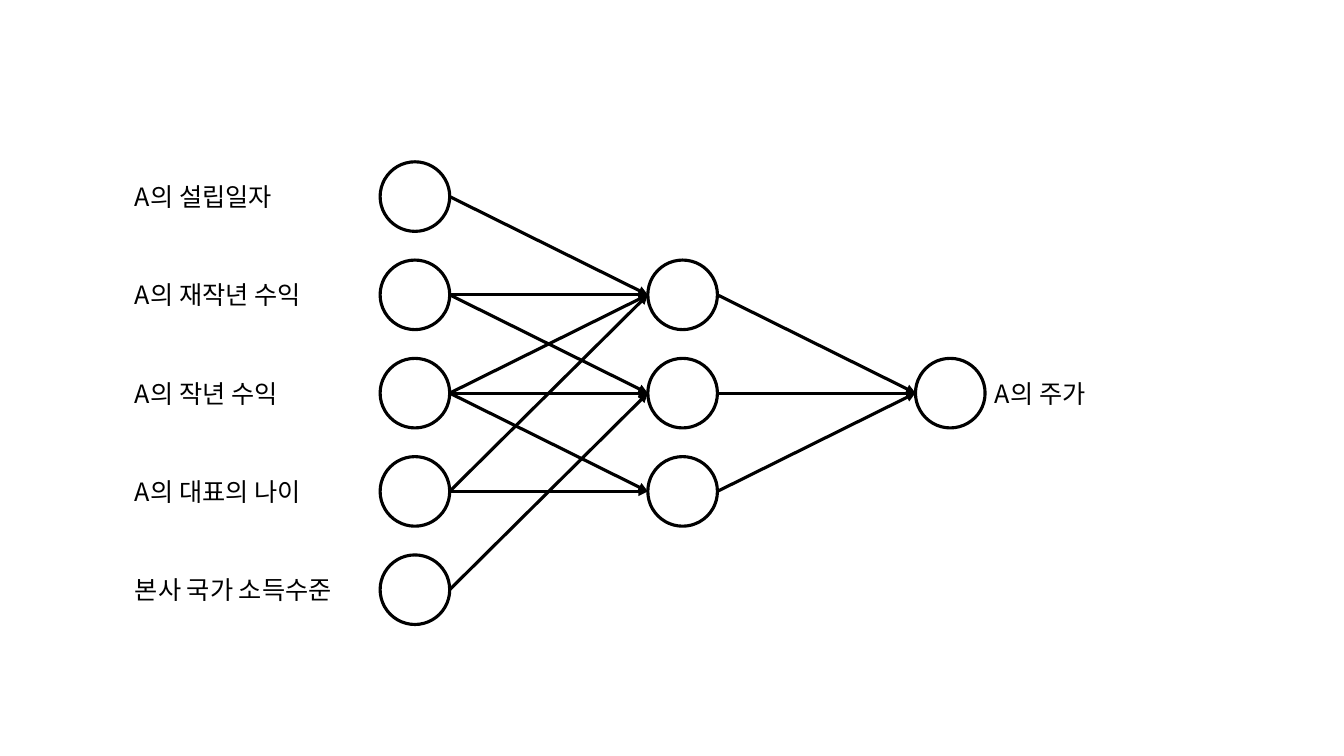
from dataclasses import dataclass

import pptx
import pptx.dml.color
import pptx.enum.shapes
import pptx.enum.text
import pptx.oxml
import pptx.oxml.ns
import pptx.util
from pptx.util import Inches


@dataclass(frozen=True)
class Theme:
    ink: pptx.dml.color.RGBColor = pptx.dml.color.RGBColor(0, 0, 0)
    font: str = "Noto Sans CJK KR"
    text_size: pptx.util.Pt = pptx.util.Pt(18)
    line_width: pptx.util.Pt = pptx.util.Pt(2.25)


@dataclass(frozen=True)
class Node:
    left: float
    mid_y: float


@dataclass(frozen=True)
class Label:
    text: str
    left: float
    width: float
    mid_y: float


THEME = Theme()
DIAMETER = 0.69
LABEL_HEIGHT = 0.4
TOP_MID_Y, ROW_STEP = 1.95, 0.975
INPUT_LEFT, LAYER_STEP = 3.77, 2.655


def layer(column: int, rows: range) -> list[Node]:
    return [Node(INPUT_LEFT + column * LAYER_STEP, TOP_MID_Y + row * ROW_STEP)
            for row in rows]


def style_line(line) -> None:
    line.color.rgb = THEME.ink
    line.width = THEME.line_width


def draw_node(s, node: Node) -> None:
    sp = s.shapes.add_shape(
        pptx.enum.shapes.MSO_SHAPE.OVAL,
        Inches(node.left), Inches(node.mid_y - DIAMETER / 2),
        Inches(DIAMETER), Inches(DIAMETER))
    sp.shadow.inherit = False
    sp.fill.background()
    style_line(sp.line)


def draw_arrow(s, start: Node, end: Node) -> None:
    cxn = s.shapes.add_connector(
        pptx.enum.shapes.MSO_CONNECTOR.STRAIGHT,
        Inches(start.left + DIAMETER), Inches(start.mid_y),
        Inches(end.left), Inches(end.mid_y))
    style_line(cxn.line)
    head = pptx.oxml.parse_xml(
        f'<a:tailEnd {pptx.oxml.ns.nsdecls("a")} type="triangle"/>')
    cxn.line._get_or_add_ln().append(head)
    cxn._element.spPr.append(
        pptx.oxml.parse_xml(f'<a:effectLst {pptx.oxml.ns.nsdecls("a")}/>'))


def draw_label(s, label: Label) -> None:
    sp = s.shapes.add_textbox(
        Inches(label.left), Inches(label.mid_y - LABEL_HEIGHT / 2),
        Inches(label.width), Inches(LABEL_HEIGHT))
    tf = sp.text_frame
    tf.text = label.text
    tf.word_wrap = False
    tf.auto_size = pptx.enum.text.MSO_AUTO_SIZE.SHAPE_TO_FIT_TEXT
    r = tf.paragraphs[0].runs[0]
    r.font.name = THEME.font
    r.font.size = THEME.text_size
    r.font.color.rgb = THEME.ink
    # East Asian typeface for the Hangul
    r.font._element.append(pptx.oxml.parse_xml(
        f'<a:ea {pptx.oxml.ns.nsdecls("a")} typeface="{THEME.font}"/>'))


prs = pptx.Presentation()
prs.slide_width, prs.slide_height = Inches(13.33), Inches(7.5)
s = prs.slides.add_slide(prs.slide_layouts[6])

# Network layers
inputs = layer(0, range(5))
hidden = layer(1, range(1, 4))
output = layer(2, range(2, 3))[0]
for node in [*inputs, *hidden, output]:
    draw_node(s, node)

# Weighted links: (input, hidden), then every hidden node to the output
INPUT_LINKS = [(0, 0), (1, 1), (2, 2), (1, 0), (2, 1), (3, 2), (4, 1), (3, 0), (2, 0)]
for source, target in INPUT_LINKS:
    draw_arrow(s, inputs[source], hidden[target])
for node in hidden:
    draw_arrow(s, node, output)

# Labels
INPUT_LABELS = [
    ("A의 설립일자", 1.72),
    ("A의 재작년 수익", 2.06),
    ("A의 작년 수익", 1.81),
    ("A의 대표의 나이", 2.06),
    ("본사 국가 소득수준", 2.4),
]
for node, (text, width) in zip(inputs, INPUT_LABELS):
    draw_label(s, Label(text, 1.24, width, node.mid_y))
draw_label(s, Label("A의 주가", output.left + DIAMETER, 1.22, output.mid_y))

prs.save("out.pptx")
